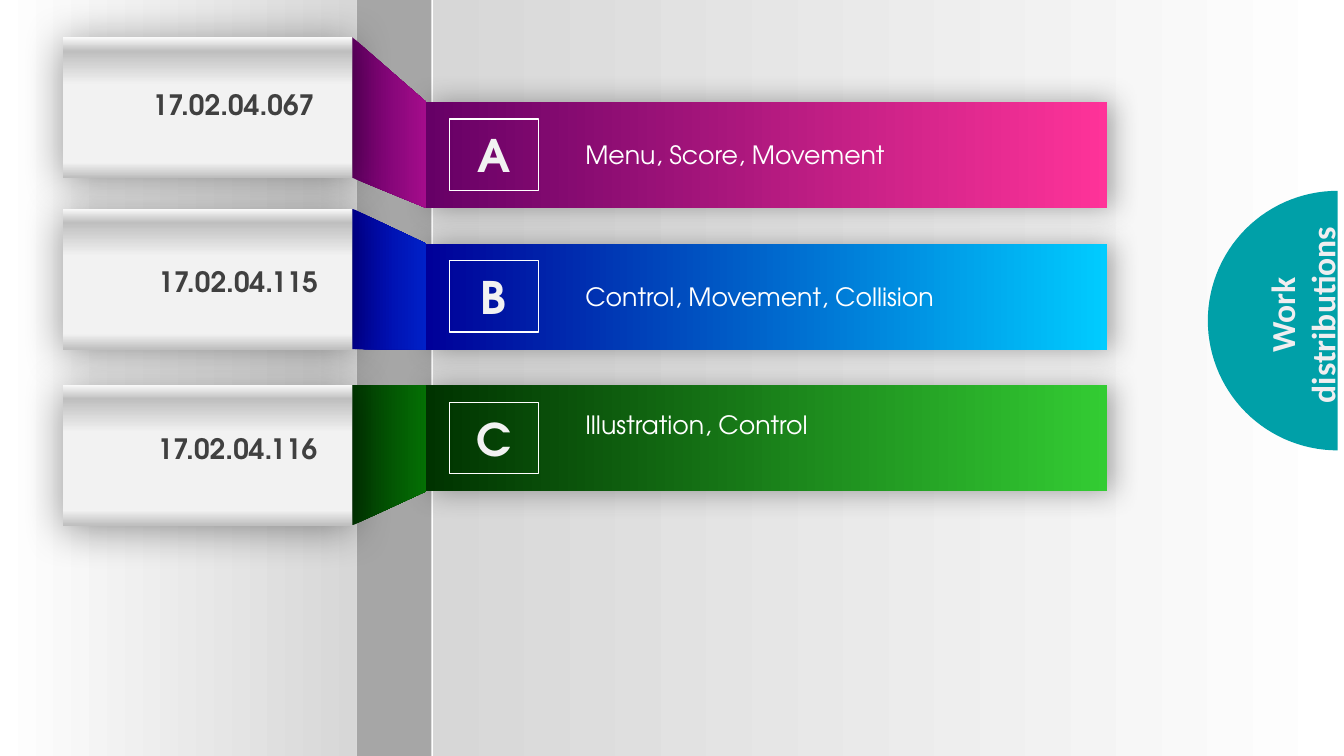
import math

from lxml import etree
from pptx import Presentation
from pptx.dml.color import RGBColor
from pptx.enum import shapes, text
from pptx.oxml import ns
from pptx.util import Cm, Pt

COLORS = {
    "white": "FFFFFF", "mist": "D7D7D7", "spine": "A6A6A6", "badge": "F2F2F2",
    "number": "404040", "teal": "00A0A8", "title": "F0EEF0",
    "bar shadow": "262626", "panel shadow": "000000",
}
PANEL_STOPS = [(0, "FAFAFA"), (10, "BFBFBF"), (34, "F2F2F2"), (89, "F2F2F2"), (100, "BFBFBF")]
FONT = "TeX Gyre Adventor"

prs = Presentation()
prs.slide_width, prs.slide_height = Cm(33.87), Cm(19.05)
slide = prs.slides.add_slide(prs.slide_layouts[6])


def paint(shape, fill, angle=0, shadow=None):
    """Fill with one colour, or with gradient stops; shadow is colour, alpha, blur, distance, angle."""
    shape.shadow.inherit = False
    shape.line.fill.background()
    if isinstance(fill, str):
        shape.fill.solid()
        shape.fill.fore_color.rgb = RGBColor.from_string(fill)
    else:
        shape.fill.gradient()
        gradient = shape._element.spPr.find(ns.qn("a:gradFill"))
        stops = gradient.find(ns.qn("a:gsLst"))
        for stop in list(stops):
            stops.remove(stop)
        for position, color in fill:
            stop = etree.SubElement(stops, ns.qn("a:gs"), pos=str(position * 1000))
            etree.SubElement(stop, ns.qn("a:srgbClr"), val=color)
        gradient.find(ns.qn("a:lin")).set("ang", str(angle * 60000))
    if shadow:
        color, alpha, blur, distance, direction = shadow
        effects = shape._element.spPr.find(ns.qn("a:effectLst"))
        outer = etree.SubElement(effects, ns.qn("a:outerShdw"), blurRad=str(Pt(blur)),
                                 dist=str(Pt(distance)), dir=str(direction * 60000),
                                 algn="ctr", rotWithShape="0")
        tint = etree.SubElement(outer, ns.qn("a:srgbClr"), val=color)
        etree.SubElement(tint, ns.qn("a:alpha"), val=str(alpha * 1000))


def write(shape, words, size, color, bold=True, font=FONT, align=text.PP_ALIGN.CENTER, grow=True):
    frame = shape.text_frame
    frame.text = words
    frame.word_wrap = True
    if grow:
        frame.auto_size = text.MSO_AUTO_SIZE.SHAPE_TO_FIT_TEXT
    paragraph = frame.paragraphs[0]
    paragraph.alignment = align
    style = paragraph.runs[0].font
    style.name, style.size, style.bold = font, Pt(size), bold
    style.color.rgb = RGBColor.from_string(color)


# Backdrop: two fading walls and the spine between them
fade = [(0, COLORS["white"]), (100, COLORS["mist"])]
for left, width, fill in [(10.92, 22.95, fade), (8.99, 1.88, COLORS["spine"]), (0, 8.99, fade[::-1])]:
    wall = slide.shapes.add_shape(shapes.MSO_SHAPE.RECTANGLE, Cm(left), 0, Cm(width), prs.slide_height)
    paint(wall, [(p, c) for p, c in zip((0, 100), (c for _, c in fill))] if fill is not COLORS["spine"] else fill, 180)

# Rows: letter, task, task top, student number, its left and top, panel top, bar and fold colours
rows = [
    ("A", "Menu, Score, Movement", 3.38, "17.02.04.067", 3.51, 2.08, 0.94,
     ("660066", "FF3399"), ("660066", "A40C8B")),
    ("B", "Control, Movement, Collision", 6.96, "17.02.04.115", 3.63, 6.53, 5.26,
     ("000099", "00CCFF"), ("000099", "0021C8")),
    ("C", "Illustration, Control", 10.19, "17.02.04.116", 3.61, 10.74, 9.7,
     ("003300", "33CC33"), ("023802", "047004")),
]
BAR_LEFT, BAR_TOP, BAR_PITCH, BAR_HEIGHT = 10.74, 2.57, 3.57, 2.67
PANEL_LEFT, PANEL_WIDTH, PANEL_HEIGHT = 1.58, 7.3, 3.54
PANEL_RIGHT = PANEL_LEFT + PANEL_WIDTH

# Bars with letter badges and tasks
for i, (letter, task, task_top, *_, bar_colors, _) in enumerate(rows):
    top = BAR_TOP + i * BAR_PITCH
    bar = slide.shapes.add_shape(shapes.MSO_SHAPE.RECTANGLE, Cm(BAR_LEFT), Cm(top), Cm(17.17), Cm(BAR_HEIGHT))
    paint(bar, list(zip((0, 100), bar_colors)), 0, (COLORS["bar shadow"], 40, 20, 3, 0))

    badge = slide.shapes.add_shape(shapes.MSO_SHAPE.RECTANGLE, Cm(11.33), Cm(top + 0.43), Cm(2.24), Cm(1.8))
    badge.shadow.inherit = False
    badge.fill.background()
    badge.line.color.rgb = RGBColor.from_string(COLORS["white"])
    badge.line.width = Pt(1)
    write(badge, letter, 32, COLORS["badge"], grow=False)

    task_box = slide.shapes.add_textbox(Cm(14.5), Cm(task_top), Cm(10.62), Cm(1.02))
    write(task_box, task, 18, COLORS["white"], bold=False, align=text.PP_ALIGN.JUSTIFY)

# Folds joining each panel to its bar
for i, (*_, panel_top, _, fold_colors) in enumerate(rows):
    bar_top = BAR_TOP + i * BAR_PITCH
    outline = slide.shapes.build_freeform(Cm(PANEL_RIGHT), Cm(panel_top))
    outline.add_line_segments([
        (Cm(BAR_LEFT), Cm(bar_top)),
        (Cm(BAR_LEFT), Cm(bar_top + BAR_HEIGHT)),
        (Cm(PANEL_RIGHT), Cm(panel_top + PANEL_HEIGHT)),
    ])
    paint(outline.convert_to_shape(), list(zip((0, 100), fold_colors)))

# Panels with student numbers
for _, _, _, number, number_left, number_top, panel_top, _, _ in rows:
    panel = slide.shapes.add_shape(shapes.MSO_SHAPE.RECTANGLE, Cm(PANEL_LEFT), Cm(panel_top),
                                   Cm(PANEL_WIDTH), Cm(PANEL_HEIGHT))
    paint(panel, PANEL_STOPS, 90, (COLORS["panel shadow"], 40, 30, 3, 90))
    number_box = slide.shapes.add_textbox(Cm(number_left), Cm(number_top), Cm(4.75), Cm(1.12))
    write(number_box, number, 20, COLORS["number"])

# Half disc with the title
disc_x, disc_y, radius = 33.71, 8.08, 3.27
rim = [(Cm(disc_x - radius * math.sin(math.radians(a))), Cm(disc_y - radius * math.cos(math.radians(a))))
       for a in range(0, 181, 3)]
half_disc = slide.shapes.build_freeform(*rim[0])
half_disc.add_line_segments(rim[1:])
paint(half_disc.convert_to_shape(), COLORS["teal"])

title = slide.shapes.add_textbox(Cm(30.05), Cm(6.78), Cm(5.54), Cm(2.31))
title.rotation = 270
write(title, "Work distributions", 24, COLORS["title"], font="Calibri")

prs.save("out.pptx")
